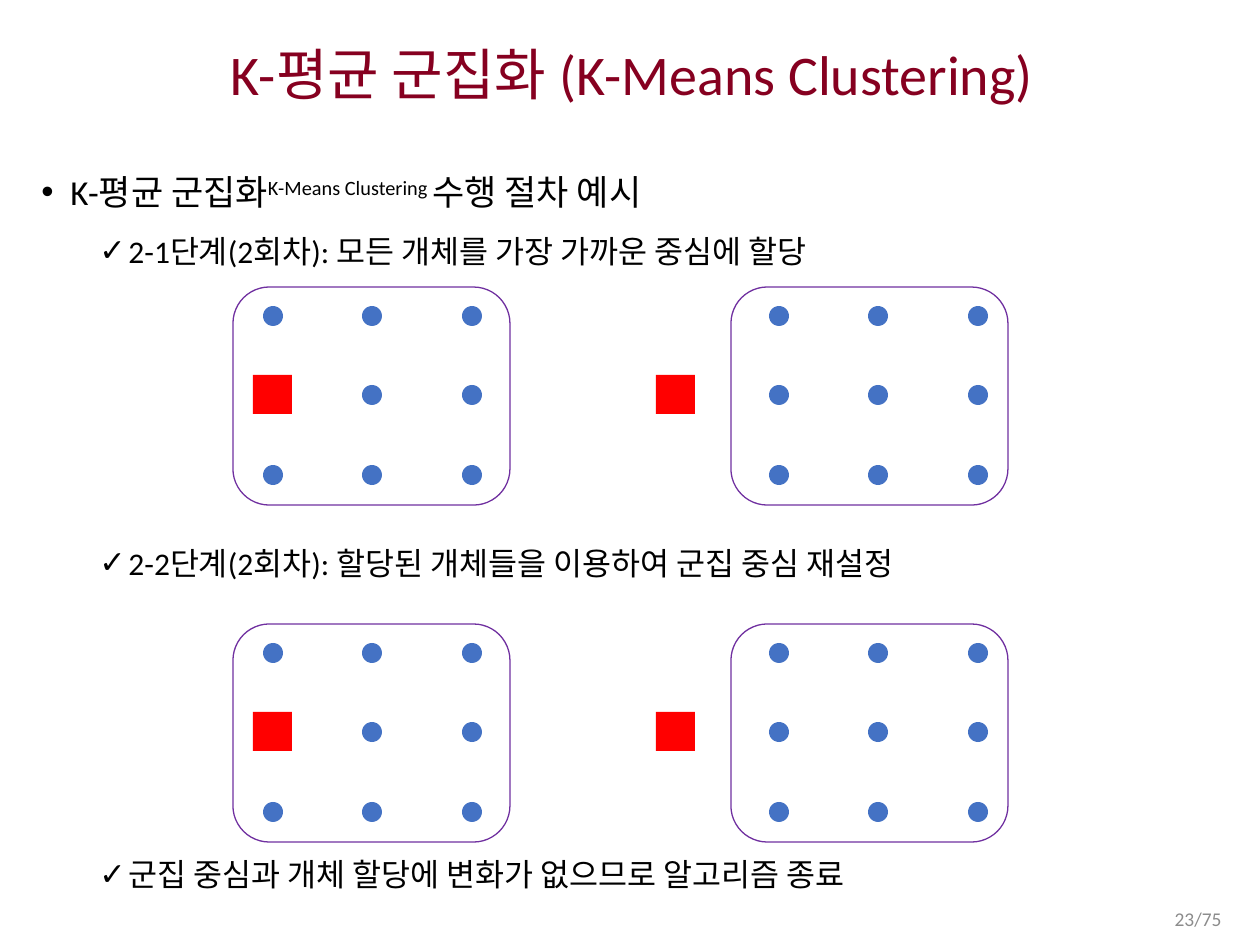
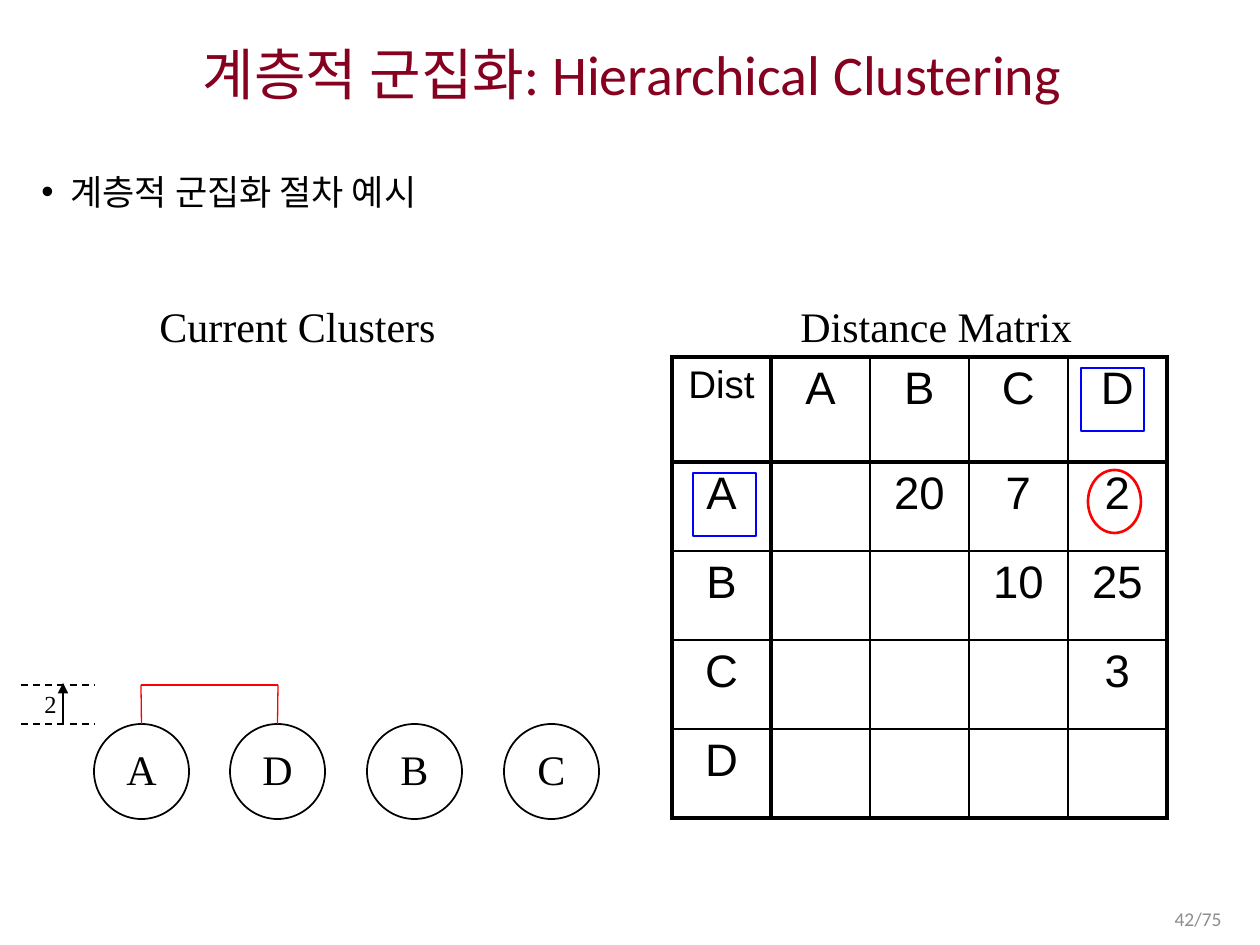
from lxml import etree
from pptx import Presentation
from pptx import util as u
from pptx.dml.color import RGBColor
from pptx.enum import dml, shapes, text
from pptx.oxml.ns import qn

PX = 914400 / 126
BLACK = RGBColor(0x00, 0x00, 0x00)
MAROON = RGBColor(0x86, 0x00, 0x20)
GRAY = RGBColor(0x8C, 0x8C, 0x8C)
BLUE = RGBColor(0x44, 0x72, 0xC4)
PURE_BLUE = RGBColor(0x00, 0x00, 0xFF)
RED = RGBColor(0xFF, 0x00, 0x00)
PURPLE = RGBColor(0x70, 0x30, 0xA0)
SANS, SERIF, TABLE_FONT = "Calibri", "Times New Roman", "Arial"
LEFT, CENTER, RIGHT = text.PP_ALIGN.LEFT, text.PP_ALIGN.CENTER, text.PP_ALIGN.RIGHT
OVAL, RECT, ROUND = (shapes.MSO_SHAPE.OVAL, shapes.MSO_SHAPE.RECTANGLE,
                     shapes.MSO_SHAPE.ROUNDED_RECTANGLE)


def emu(px):
    return u.Emu(round(px * PX))


# Shared drawing helpers

def add_run(p, words, size, font=SANS, color=BLACK):
    r = p.add_run()
    r.text = words
    r.font.size, r.font.name = u.Pt(size), font
    r.font.color.rgb = color
    return r


def add_box(s, x, y, w, h, wrap=True):
    tf = s.shapes.add_textbox(*map(emu, (x, y, w, h))).text_frame
    tf.word_wrap = wrap
    return tf


def add_label(s, x, y, w, h, words, size):
    tf = add_box(s, x, y, w, h, wrap=False)
    tf.auto_size = text.MSO_AUTO_SIZE.SHAPE_TO_FIT_TEXT
    add_run(tf.paragraphs[0], words, size, SERIF)


def add_figure(s, kind, x, y, w, h, fill=None, line=None, width=1):
    sp = s.shapes.add_shape(kind, *map(emu, (x, y, w, h)))
    sp.shadow.inherit = False
    if fill is None:
        sp.fill.background()
    else:
        sp.fill.solid()
        sp.fill.fore_color.rgb = fill
    if line is None:
        sp.line.fill.background()
    else:
        sp.line.color.rgb, sp.line.width = line, u.Pt(width)
    return sp


def add_line(s, x1, y1, x2, y2, color=BLACK, width=1, dashed=False, arrow=False):
    cn = s.shapes.add_connector(shapes.MSO_CONNECTOR.STRAIGHT,
                                *map(emu, (x1, y1, x2, y2)))
    cn.line.color.rgb, cn.line.width = color, u.Pt(width)
    if dashed:
        cn.line.dash_style = dml.MSO_LINE.DASH
    if arrow:
        etree.SubElement(cn.line._get_or_add_ln(), qn("a:tailEnd"), type="triangle")
    etree.SubElement(cn._element.spPr, qn("a:effectLst"))
    return cn


def add_bullet(p, char, indent, before=0):
    pPr = p._p.get_or_add_pPr()
    pPr.set("marL", str(emu(indent)))
    pPr.set("indent", str(emu(-29)))
    etree.SubElement(pPr, qn("a:buFont"), typeface="Arial")
    etree.SubElement(pPr, qn("a:buChar"), char=char)
    p.line_spacing = 1.3
    if before:
        p.space_before = u.Pt(before)


def add_base(prs, title, number):
    """Blank slide with title and page number; returns it with the body frame."""
    s = prs.slides.add_slide(prs.slide_layouts[6])
    for box, words, size, color, align in (
            ((29, 31, 1206, 92), title, 32, MAROON, CENTER),
            ((950, 900, 284, 38), f"{number}/75", 11.1, GRAY, RIGHT)):
        tf = add_box(s, *box)
        tf.vertical_anchor = text.MSO_ANCHOR.MIDDLE
        p = tf.paragraphs[0]
        p.alignment = align
        if color == MAROON:
            p.line_spacing = 0.9
        add_run(p, words, size, color=color)
    body = add_box(s, 29, 152, 1206, 736)
    add_bullet(body.paragraphs[0], "•", 29)
    return s, body


# K-means slide

def add_cluster(s, x, y, dots_x, center_x, center_is_object):
    """Framed 3 x 3 grid of objects with the square centre of the cluster."""
    for row in range(3):
        for col in range(3):
            if center_is_object and (row, col) == (1, 0):
                continue
            add_figure(s, OVAL, x + dots_x + col * 199 // 2,
                       y + 19 + row * 159 // 2, 20, 20, fill=BLUE)
    add_figure(s, RECT, x + center_x, y + 88, 39, 39, fill=RED)
    add_figure(s, ROUND, x, y, 277, 218, line=PURPLE, width=0.75)


def build_kmeans(prs):
    s, body = add_base(prs, "K-평균 군집화 (K-Means Clustering)", 23)
    p = body.paragraphs[0]
    add_run(p, "K-평균 군집화", 20)
    r = add_run(p, "K-Means Clustering ", 20)
    r._r.get_or_add_rPr().set("baseline", "30000")
    add_run(p, "수행 절차 예시", 20)
    # Steps, spaced to leave room for the clusters
    for step, before in (
            ("2-1단계(2회차): 모든 개체를 가장 가까운 중심에 할당", 4.6),
            ("2-2단계(2회차): 할당된 개체들을 이용하여 군집 중심 재설정", 150),
            ("군집 중심과 개체 할당에 변화가 없으므로 알고리즘 종료", 150)):
        p = body.add_paragraph()
        add_bullet(p, "✓", 87, before)
        add_run(p, step, 18)
    for y in (287, 624):
        add_cluster(s, 233, y, 30, 20, True)
        add_cluster(s, 731, y, 38, -75, False)


# Hierarchical slide

def add_dendrogram(s, x, y):
    """Row of clusters with the first two joined; x, y is the first circle's corner."""
    nodes = []
    for i, name in enumerate("ADBC"):
        sp = add_figure(s, OVAL, x + i * 410 // 3, y, 95, 95, line=BLACK)
        tf = sp.text_frame
        tf.word_wrap = False
        tf.vertical_anchor = text.MSO_ANCHOR.MIDDLE
        tf.margin_left = tf.margin_right = tf.margin_top = 0
        tf.margin_bottom = emu(6)
        tf.paragraphs[0].alignment = CENTER
        add_run(tf.paragraphs[0], name, 24, SERIF)
        nodes.append(sp)
    # Merge bracket
    top, ends = y - 39, (x + 47, x + 184)
    for node, end in zip(nodes, ends):
        add_line(s, end, y, end, top, RED, 0.75).begin_connect(node, 0)
    add_line(s, ends[0], top, ends[1], top, RED, 0.75)
    # Merge height
    for level in (y, top):
        add_line(s, x - 73, level, x, level, dashed=True)
    add_label(s, x - 62, y - 41, 38, 42, "2", 14)
    add_line(s, x - 31, y, x - 31, y - 41, arrow=True)


def set_borders(cell, row, col, size):
    tcPr = cell._tc.get_or_add_tcPr()
    for side, edge in (("L", col), ("R", col + 1), ("T", row), ("B", row + 1)):
        width = 2.25 if edge in (0, 1, size) else 1
        ln = etree.SubElement(tcPr, qn(f"a:ln{side}"), w=str(u.Pt(width)))
        fill = etree.SubElement(ln, qn("a:solidFill"))
        etree.SubElement(fill, qn("a:srgbClr"), val=str(BLACK))


def add_matrix(s, x, y):
    """Distance table with the closest pair marked."""
    rows = (("Dist", "A", "B", "C", "D"),
            ("A", "", "20", "7", "2"),
            ("B", "", "", "10", "25"),
            ("C", "", "", "", "3"),
            ("D", "", "", "", ""))
    n = len(rows)
    table = s.shapes.add_table(n, n, *map(emu, (x, y, 99 * n, 461))).table
    table.first_row = table.horz_banding = False
    for i, values in enumerate(rows):
        table.columns[i].width = emu(99)
        table.rows[i].height = emu(89 if i else 105)
        for j, value in enumerate(values):
            cell = table.cell(i, j)
            set_borders(cell, i, j, n)
            cell.fill.background()
            p = cell.text_frame.paragraphs[0]
            p.alignment = CENTER
            if value:
                add_run(p, value, 22 if value == "Dist" else 26, TABLE_FONT)
    # Closest pair
    add_figure(s, OVAL, x + 416, y + 113, 53, 63, line=RED, width=1.5)
    for dx, dy in ((409, 11), (21, 116)):
        add_figure(s, RECT, x + dx, y + dy, 63, 63, line=PURE_BLUE, width=1.5)


def build_hierarchical(prs):
    s, body = add_base(prs, "계층적 군집화: Hierarchical Clustering", 42)
    add_run(body.paragraphs[0], "계층적 군집화 절차 예시", 20)
    add_label(s, 147, 294, 312, 63, "Current Clusters", 24)
    add_label(s, 788, 294, 297, 63, "Distance Matrix", 24)
    add_matrix(s, 672, 357)
    add_dendrogram(s, 94, 724)


def main():
    prs = Presentation()
    prs.slide_width, prs.slide_height = emu(1260), emu(945)
    build_kmeans(prs)
    build_hierarchical(prs)
    prs.save("out.pptx")


if __name__ == "__main__":
    main()
